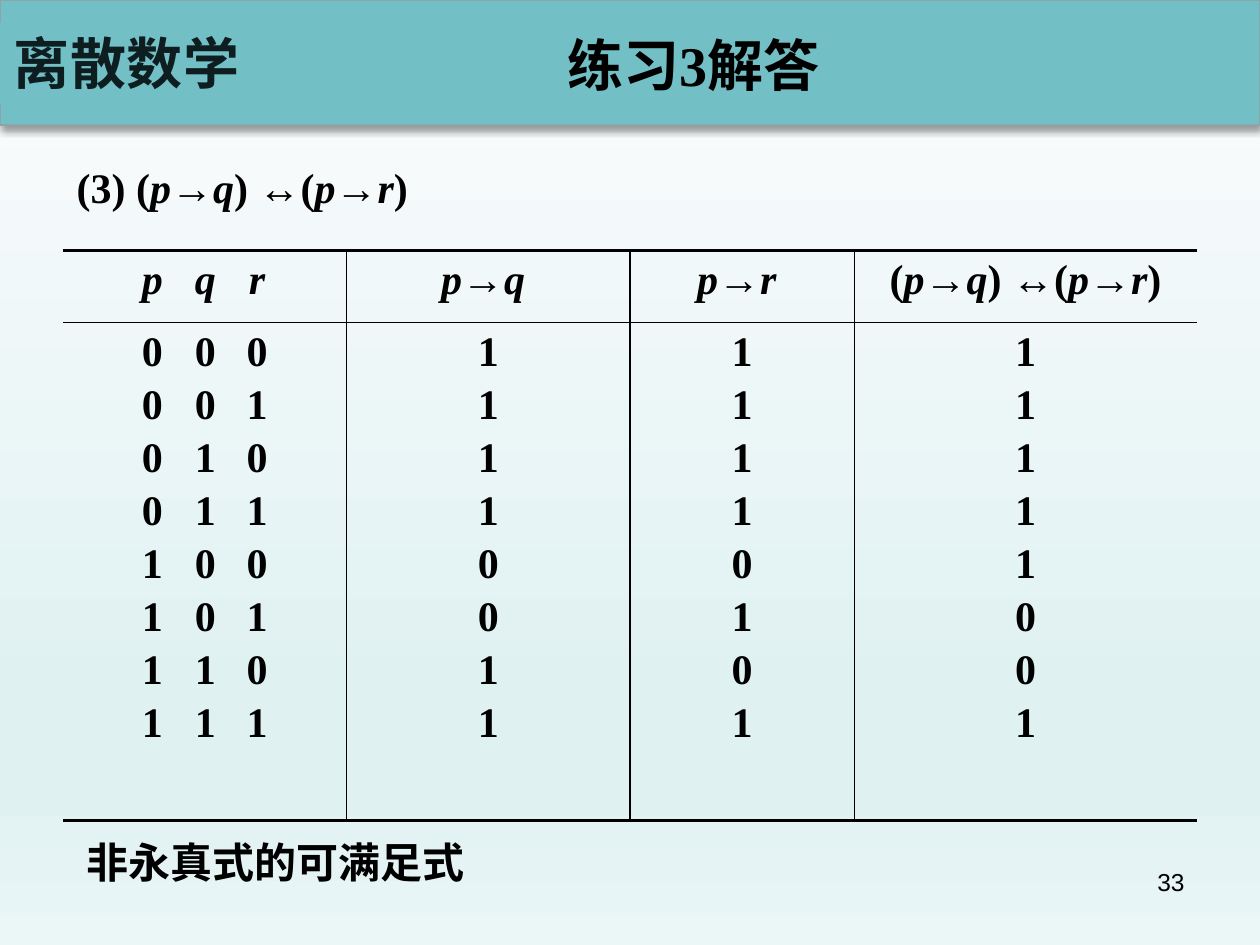
import itertools

import pptx
import pptx.dml.color
import pptx.enum.shapes
import pptx.enum.text
import pptx.oxml.ns
import pptx.util
from lxml import etree

Inches = pptx.util.Inches
Pt = pptx.util.Pt
RGBColor = pptx.dml.color.RGBColor
ALIGN = pptx.enum.text.PP_ALIGN
ANCHOR = pptx.enum.text.MSO_ANCHOR
qn = pptx.oxml.ns.qn

BLACK = RGBColor(0x00, 0x00, 0x00)
TEAL = RGBColor(0x72, 0xBF, 0xC5)
TEAL_EDGE = RGBColor(0x8A, 0xA6, 0xA8)
COURSE_INK = RGBColor(0x0E, 0x1E, 0x20)
BACKGROUND_STOPS = [
    (0, RGBColor(0xFC, 0xFD, 0xFE)),
    (74, RGBColor(0xE0, 0xF1, 0xF2)),
    (83, RGBColor(0xE0, 0xF1, 0xF2)),
    (100, RGBColor(0xEB, 0xF6, 0xF7)),
]
SERIF = "Times New Roman"
SANS = "Arial"
CJK = "Noto Sans CJK SC"
FORMULA = "(p→q) ↔(p→r)"
COLUMN_WIDTHS = [2.25, 2.25, 1.78, 2.72]
ROW_HEIGHTS = [0.57, 3.95]
VARIABLE_STOPS = [0.61, 1.03, 1.44]


def sub(parent, tag, **attrs):
    return etree.SubElement(parent, qn(tag), {k: str(v) for k, v in attrs.items()})


def add_run(p, text, size=24, font=SERIF, color=BLACK, bold=True, italic=False):
    r = p.add_run()
    r.text = text
    r.font.size = Pt(size)
    r.font.name = font
    r.font.color.rgb = color
    r.font.bold = bold
    r.font.italic = italic
    sub(r.font._element, "a:ea", typeface=CJK)
    return r


def add_formula(p, text):
    for is_variable, chars in itertools.groupby(text, str.isalpha):
        add_run(p, "".join(chars), italic=is_variable)


def add_textbox(slide, x, y, w, h, align=ALIGN.LEFT, anchor=ANCHOR.TOP, wrap=True):
    tf = slide.shapes.add_textbox(Inches(x), Inches(y), Inches(w), Inches(h)).text_frame
    tf.word_wrap = wrap
    tf.vertical_anchor = anchor
    p = tf.paragraphs[0]
    p.alignment = align
    return p


def add_band(slide, x, y, w, h):
    sp = slide.shapes.add_shape(
        pptx.enum.shapes.MSO_SHAPE.RECTANGLE, Inches(x), Inches(y), Inches(w), Inches(h))
    sp.shadow.inherit = False
    sp.fill.solid()
    sp.fill.fore_color.rgb = TEAL
    sp.line.fill.background()
    return sp


def set_background(slide):
    fill = slide.background.fill
    fill.gradient()
    fill.gradient_angle = 270
    stops = next(slide.element.iter(qn("a:gsLst")))
    for gs in list(stops):
        stops.remove(gs)
    for position, color in BACKGROUND_STOPS:
        gs = sub(stops, "a:gs", pos=position * 1000)
        sub(gs, "a:srgbClr", val=color)


def add_header(slide):
    band = add_band(slide, 0, 0, 10, 0.99)
    band.line.color.rgb = TEAL_EDGE
    band.line.width = Pt(1)
    effects = band._element.spPr.find(qn("a:effectLst"))
    shadow = sub(effects, "a:outerShdw", blurRad=Pt(4), dist=Pt(3), dir=90 * 60000,
                 algn="t", rotWithShape=0)
    sub(sub(shadow, "a:srgbClr", val=BLACK), "a:alpha", val=40000)

    course = add_band(slide, 0, 0.18, 2.01, 0.64)
    course.text_frame.word_wrap = True
    course.text_frame.vertical_anchor = ANCHOR.TOP
    p = course.text_frame.paragraphs[0]
    p.alignment = ALIGN.CENTER
    r = add_run(p, "离散数学", 32, CJK, COURSE_INK)
    r.font._element.set("spc", "50")

    p = add_textbox(slide, 2.16, 0.28, 6.69, 0.46, ALIGN.CENTER, ANCHOR.MIDDLE)
    add_run(p, "练习", 32, SANS)
    add_run(p, "3解答", 32)


def set_borders(cell, **widths):
    tcPr = cell._tc.get_or_add_tcPr()
    for index, side in enumerate("LRTB"):
        width = widths.get(side, 0)
        ln = etree.Element(qn(f"a:ln{side}"), w=str(Pt(width)))
        if width:
            sub(sub(ln, "a:solidFill"), "a:srgbClr", val=BLACK)
        else:
            sub(ln, "a:noFill")
        tcPr.insert(index, ln)


def set_variable_stops(p):
    tabs = sub(p._p.get_or_add_pPr(), "a:tabLst")
    for stop in VARIABLE_STOPS:
        sub(tabs, "a:tab", pos=Inches(stop), algn="ctr")


def fill_cell(cell, lines, tabbed):
    tf = cell.text_frame
    for i, line in enumerate(lines):
        p = tf.add_paragraph() if i else tf.paragraphs[0]
        p.alignment = ALIGN.LEFT if tabbed else ALIGN.CENTER
        if i:
            p.space_before = Pt(3.8)
        if tabbed:
            set_variable_stops(p)
        add_formula(p, line)


def truth_columns():
    rows = []
    for p, q, r in itertools.product((0, 1), repeat=3):
        p_to_q = int(not p or q)
        p_to_r = int(not p or r)
        rows.append((f"\t{p}\t{q}\t{r}", str(p_to_q), str(p_to_r),
                     str(int(p_to_q == p_to_r))))
    return list(zip(*rows))


def add_truth_table(slide):
    table = slide.shapes.add_table(
        2, 4, Inches(0.5), Inches(1.99), Inches(9), Inches(4.52)).table
    table.first_row = False
    table.horz_banding = False
    for row, height in zip(table.rows, ROW_HEIGHTS):
        row.height = Inches(height)
    headings = ["\tp\tq\tr", "p→q ", "p→r ", FORMULA]
    last = len(headings) - 1
    for c, (heading, values) in enumerate(zip(headings, truth_columns())):
        table.columns[c].width = Inches(COLUMN_WIDTHS[c])
        for row, lines in enumerate(([heading], values)):
            cell = table.cell(row, c)
            cell.fill.background()
            fill_cell(cell, lines, tabbed=c == 0)
            set_borders(cell, L=int(c > 0), R=int(c < last),
                        T=1 if row else 2.25, B=2.25 if row else 1)


def main():
    prs = pptx.Presentation()
    prs.slide_width = Inches(10)
    prs.slide_height = Inches(7.5)
    slide = prs.slides.add_slide(prs.slide_layouts[6])
    set_background(slide)
    add_header(slide)
    add_truth_table(slide)
    page = add_textbox(slide, 7.17, 6.83, 2.33, 0.52, ALIGN.RIGHT)
    add_run(page, "33", 14, SANS, bold=False)
    add_formula(add_textbox(slide, 0.51, 1.23, 5.04, 0.5), "(3) " + FORMULA)
    conclusion = add_textbox(slide, 0.59, 6.59, 3.22, 0.5, anchor=ANCHOR.MIDDLE, wrap=False)
    add_run(conclusion, "非永真式的可满足式")
    prs.save("out.pptx")


if __name__ == "__main__":
    main()
